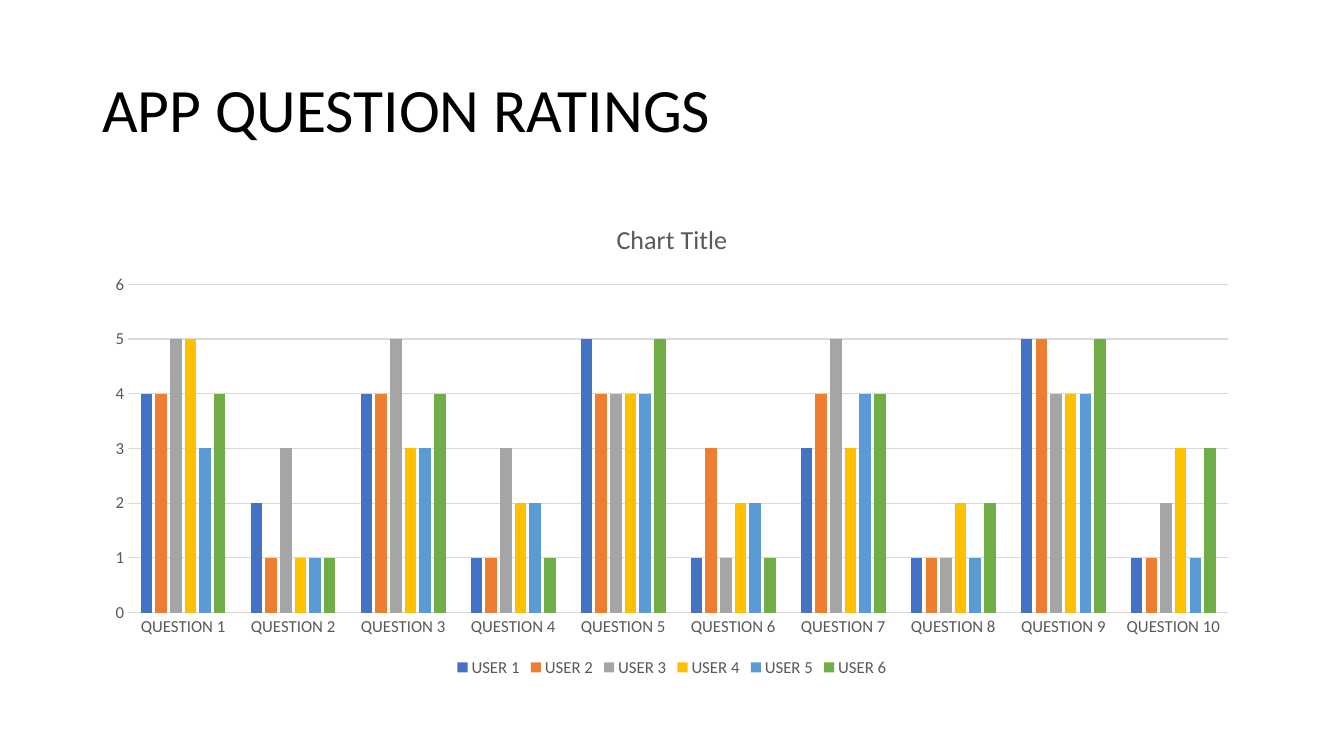
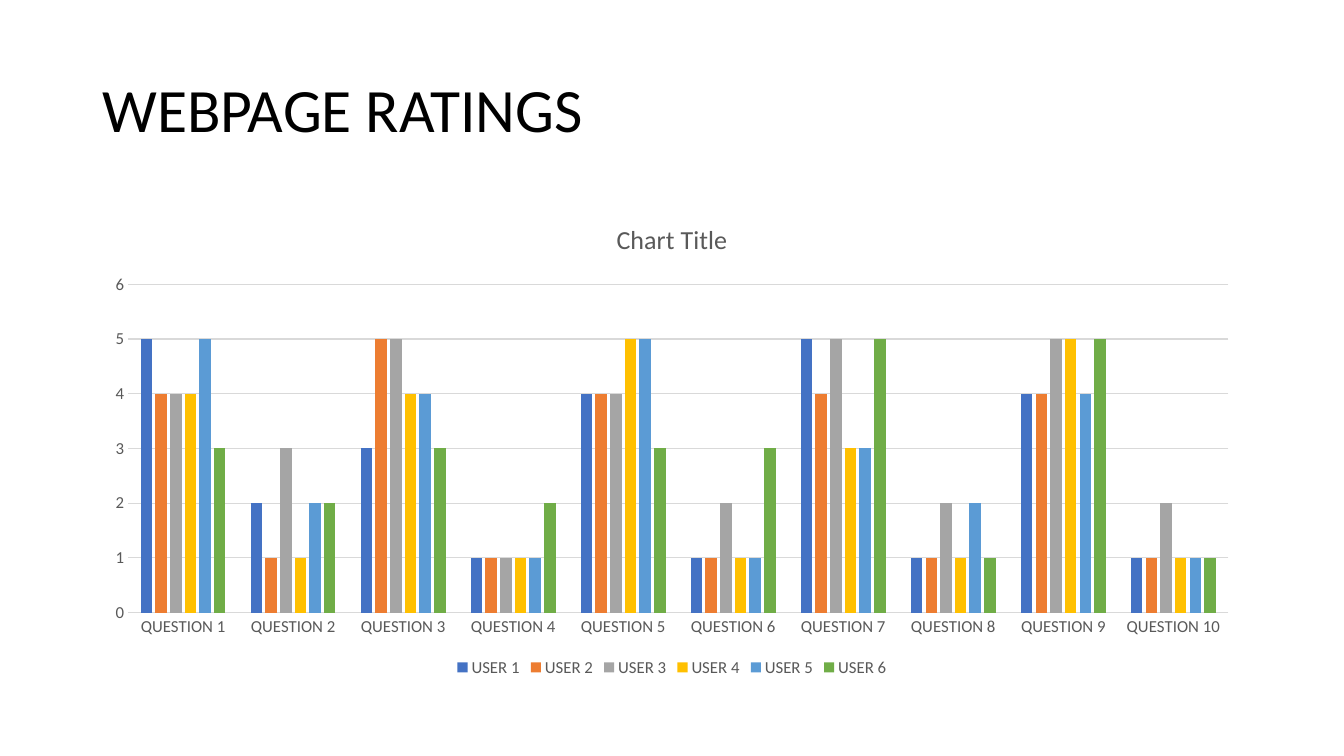
from pptx import Presentation
from pptx.chart.data import CategoryChartData as ChartData
from pptx.dml.color import RGBColor as Color
from pptx.enum.chart import XL_CHART_TYPE as Kind, XL_LEGEND_POSITION as Side, XL_TICK_MARK as Tick
from pptx.enum.text import MSO_ANCHOR as Anchor
from pptx.util import Pt

DECK = [
    ("APP QUESTION RATINGS", [
        (4, 2, 4, 1, 5, 1, 3, 1, 5, 1),
        (4, 1, 4, 1, 4, 3, 4, 1, 5, 1),
        (5, 3, 5, 3, 4, 1, 5, 1, 4, 2),
        (5, 1, 3, 2, 4, 2, 3, 2, 4, 3),
        (3, 1, 3, 2, 4, 2, 4, 1, 4, 1),
        (4, 1, 4, 1, 5, 1, 4, 2, 5, 3),
    ]),
    ("WEBPAGE RATINGS", [
        (5, 2, 3, 1, 4, 1, 5, 1, 4, 1),
        (4, 1, 5, 1, 4, 1, 4, 1, 4, 1),
        (4, 3, 5, 1, 4, 2, 5, 2, 5, 2),
        (4, 1, 4, 1, 5, 1, 3, 1, 5, 1),
        (5, 2, 4, 1, 5, 1, 3, 2, 4, 1),
        (3, 2, 3, 2, 3, 3, 5, 1, 5, 1),
    ]),
]
HEAD = "Chart Title"
CATS = [f"QUESTION {n}" for n in range(1, 11)]
HUES = {
    "USER 1": "4472C4",
    "USER 2": "ED7D31",
    "USER 3": "A5A5A5",
    "USER 4": "FFC000",
    "USER 5": "5B9BD5",
    "USER 6": "70AD47",
}
INK = {"title": "000000", "label": "595959", "rule": "D9D9D9"}
FACE = "Calibri"
PX = 9525
SIZE = (1280, 720)
TITLE = (88, 38, 1104, 139)
PLOT = (88, 192, 1104, 457)


def px(box):
    return [n * PX for n in box]


def style(font, size, hue):
    font.name = FACE
    font.size = Pt(size)
    font.bold = False
    font.color.rgb = Color.from_string(hue)


def rule(line):
    line.color.rgb = Color.from_string(INK["rule"])
    line.width = Pt(0.75)


def add_title(slide, text):
    frame = slide.shapes.add_textbox(*px(TITLE)).text_frame
    frame.word_wrap = True
    frame.vertical_anchor = Anchor.MIDDLE
    frame.text = text
    para = frame.paragraphs[0]
    para.line_spacing = 0.9
    style(para.runs[0].font, 44, INK["title"])


def add_plot(slide, rows):
    data = ChartData()
    data.categories = CATS
    for name, vals in zip(HUES, rows):
        data.add_series(name, vals)
    chart = slide.shapes.add_chart(Kind.COLUMN_CLUSTERED, *px(PLOT), data).chart
    style(chart.font, 12, INK["label"])

    chart.has_title = True
    frame = chart.chart_title.text_frame
    frame.text = HEAD
    style(frame.paragraphs[0].runs[0].font, 18.6, INK["label"])
    chart.chart_title.include_in_layout = False

    chart.has_legend = True
    chart.legend.position = Side.BOTTOM
    chart.legend.include_in_layout = False
    style(chart.legend.font, 12, INK["label"])

    for axis in (chart.category_axis, chart.value_axis):
        axis.major_tick_mark = axis.minor_tick_mark = Tick.NONE
        style(axis.tick_labels.font, 12, INK["label"])
    rule(chart.category_axis.format.line)
    scale = chart.value_axis
    scale.minimum_scale, scale.maximum_scale, scale.major_unit = 0, 6, 1
    scale.format.line.fill.background()
    rule(scale.major_gridlines.format.line)

    plot = chart.plots[0]
    plot.gap_width = 219
    plot.overlap = -27
    plot.vary_by_categories = False
    for bars, hue in zip(plot.series, HUES.values()):
        bars.format.fill.solid()
        bars.format.fill.fore_color.rgb = Color.from_string(hue)


def main():
    deck = Presentation()
    deck.slide_width, deck.slide_height = px(SIZE)
    for title, rows in DECK:
        slide = deck.slides.add_slide(deck.slide_layouts[6])
        add_title(slide, title)
        add_plot(slide, rows)
    deck.save("out.pptx")


if __name__ == "__main__":
    main()
